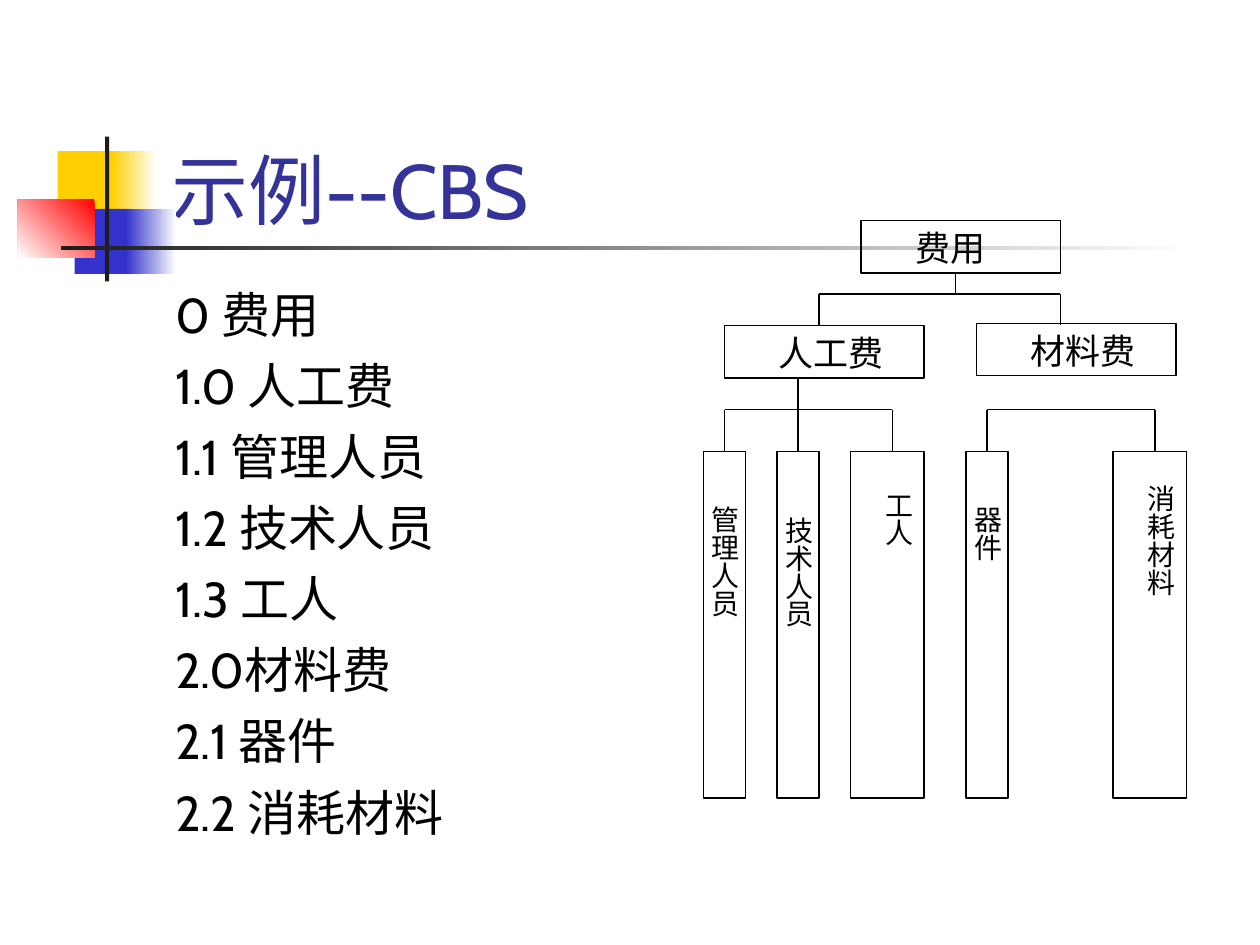
from lxml import etree
from pptx import Presentation
from pptx.dml.color import RGBColor
from pptx.enum.shapes import MSO_CONNECTOR, MSO_SHAPE
from pptx.enum.text import MSO_ANCHOR, MSO_AUTO_SIZE, PP_ALIGN
from pptx.oxml.ns import qn
from pptx.util import Inches, Pt

RECTANGLE = MSO_SHAPE.RECTANGLE
STRAIGHT = MSO_CONNECTOR.STRAIGHT
LEFT, CENTER = PP_ALIGN.LEFT, PP_ALIGN.CENTER
BOTTOM, MIDDLE = MSO_ANCHOR.BOTTOM, MSO_ANCHOR.MIDDLE
NO_AUTOFIT = MSO_AUTO_SIZE.NONE
TOP_SIDE = 0


def color(hex_string):
    return RGBColor.from_string(hex_string)


def grid(*cells):
    """Lengths on a grid of 120 columns by 90 rows, twelve cells to the inch."""
    return [round(cell * Inches(1) / 12) for cell in cells]


presentation = Presentation()
presentation.slide_width, presentation.slide_height = grid(120, 90)
slide = presentation.slides.add_slide(presentation.slide_layouts[5])
shapes = slide.shapes

# Decoration: one colour is solid, two colours with an angle fade
decoration = [
    ((5.5, 14.4, 5.8, 6.2), ["FFCF01"], 0),
    ((10.6, 14.4, 4.3, 6.2), ["FFFFFF", "FFCF01"], 180),
    ((7.1, 19.9, 5.5, 6.2), ["3333CC"], 0),
    ((12, 19.9, 4.8, 6.2), ["FFFFFF", "3333CC"], 180),
    ((1.7, 19, 7.3, 5.5), ["FF0000", "FFFFFF"], 225),
    ((10, 13, 0.4, 13.8), ["1C1C1C"], 0),
    ((5.8, 23.4, 108, 0.4), ["FFFFFF", "1C1C1C"], 180),
]
for place, colors, angle in decoration:
    shape = shapes.add_shape(RECTANGLE, *grid(*place))
    shape.shadow.inherit = False
    shape.line.fill.background()
    if len(colors) == 1:
        shape.fill.solid()
        shape.fill.fore_color.rgb = color(colors[0])
    else:
        shape.fill.gradient()
        shape.fill.gradient_angle = angle
        for stop, stop_color in zip(shape.fill.gradient_stops, colors):
            stop.color.rgb = color(stop_color)

# Title
title = shapes.title
title.left, title.top, title.width, title.height = grid(15.1, 8, 102.2, 15)
title.text_frame.auto_size = NO_AUTOFIT
title.text_frame.vertical_anchor = BOTTOM
paragraph = title.text_frame.paragraphs[0]
paragraph.alignment = LEFT
run = paragraph.add_run()
run.text = "示例--CBS"
run.font.name, run.font.size = "Cabin", Pt(44)
run.font.color.rgb = color("333399")

# Cost list
items = ["0 费用", "1.0 人工费", "1.1 管理人员", "1.2 技术人员", "1.3 工人",
         "2.0材料费", "2.1 器件", "2.2 消耗材料"]
cost_list = shapes.add_textbox(*grid(15.5, 26.5, 50, 54)).text_frame
cost_list.word_wrap = True
for index, item in enumerate(items):
    paragraph = cost_list.add_paragraph() if index else cost_list.paragraphs[0]
    paragraph.space_before = Pt(7 if index else 0)
    run = paragraph.add_run()
    run.text = item
    run.font.name, run.font.size = "Cabin", Pt(28)
    run.font.color.rgb = color("000000")

# Tree boxes
boxes = {
    "人工费": (69, 31, 19, 5),
    "材料费": (93, 30.8, 19, 5),
    "费用": (82, 21, 19, 5),
    "管理人员": (67, 43, 4, 33),
    "技术人员": (74, 43, 4, 33),
    "工人": (81, 43, 7, 33),
    "器件": (92, 43, 4, 33),
    "消耗材料": (106, 43, 7, 33),
}
box_shapes = {}
for name, place in boxes.items():
    shape = shapes.add_shape(RECTANGLE, *grid(*place))
    shape.shadow.inherit = False
    shape.fill.background()
    shape.line.color.rgb = color("000000")
    shape.line.width = Pt(0.75)
    box_shapes[name] = shape

# Tree labels: upright text is centred within the tall boxes
labels = [
    ("人工费", (73, 31, 14, 5.3), False),
    ("材料费", (97, 30.8, 16, 5.3), False),
    ("费用", (86, 21, 10, 5.3), False),
    ("管理人员", (66.25, 47, 5.5, 35), True),
    ("技术人员", (73.25, 48, 5.5, 35), True),
    ("工人", (82.8, 45.6, 5.5, 35), True),
    ("器件", (91.25, 47, 5.5, 35), True),
    ("消耗材料", (107.8, 45, 5.5, 35), True),
]
for name, place, upright in labels:
    frame = shapes.add_textbox(*grid(*place)).text_frame
    frame.word_wrap = True
    frame.auto_size = NO_AUTOFIT
    paragraph = frame.paragraphs[0]
    if upright:
        frame.margin_left = frame.margin_right = Inches(0.05)
        frame.margin_top = frame.margin_bottom = Inches(0.1)
        frame.vertical_anchor = MIDDLE
        frame._txBody.find(qn("a:bodyPr")).set("vert", "eaVert")
        paragraph.alignment = CENTER
    run = paragraph.add_run()
    run.text = name
    run.font.name = "Times New Roman"
    run.font.size = Pt(16 if upright else 20)
    run.font.color.rgb = color("000000")

# Tree lines: start, end, width and the box whose top middle is met
lines = [
    ((91, 26), (91, 28), 1, None),
    ((78, 28), (101, 28), 1, None),
    ((78, 28), (78, 31), 1, None),
    ((101, 28), (101, 31), 1, None),
    ((76, 36), (76, 43), 0.75, "技术人员"),
    ((69, 39), (85, 39), 0.75, None),
    ((69, 39), (69, 43), 0.75, "管理人员"),
    ((85, 39), (85, 43), 0.75, None),
    ((94, 39), (110, 39), 0.75, None),
    ((94, 39), (94, 43), 0.75, "器件"),
    ((110, 39), (110, 43), 0.75, None),
]
for start, end, width, target in lines:
    connector = shapes.add_connector(STRAIGHT, *grid(*start, *end))
    connector.line.color.rgb = color("000000")
    connector.line.width = Pt(width)
    etree.SubElement(connector._element.spPr, qn("a:effectLst"))
    if target:
        connector.end_connect(box_shapes[target], TOP_SIDE)

presentation.save("out.pptx")
